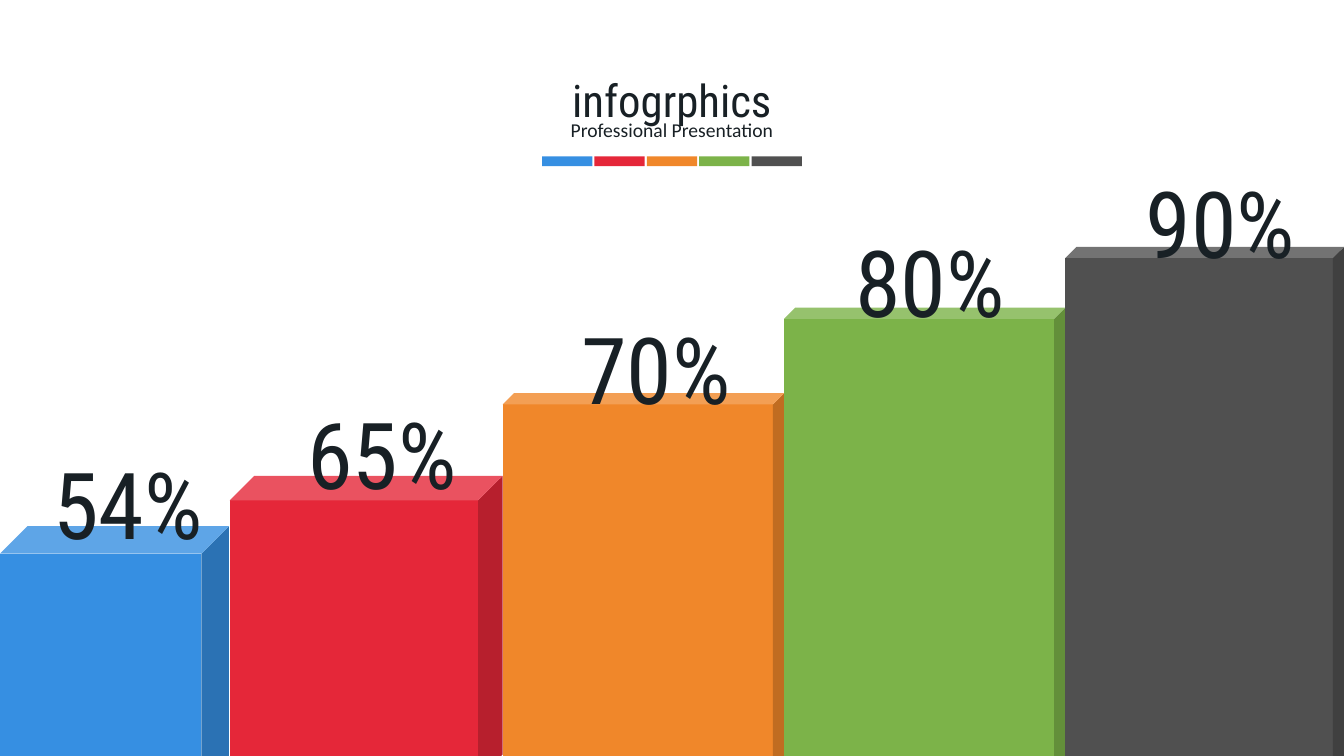
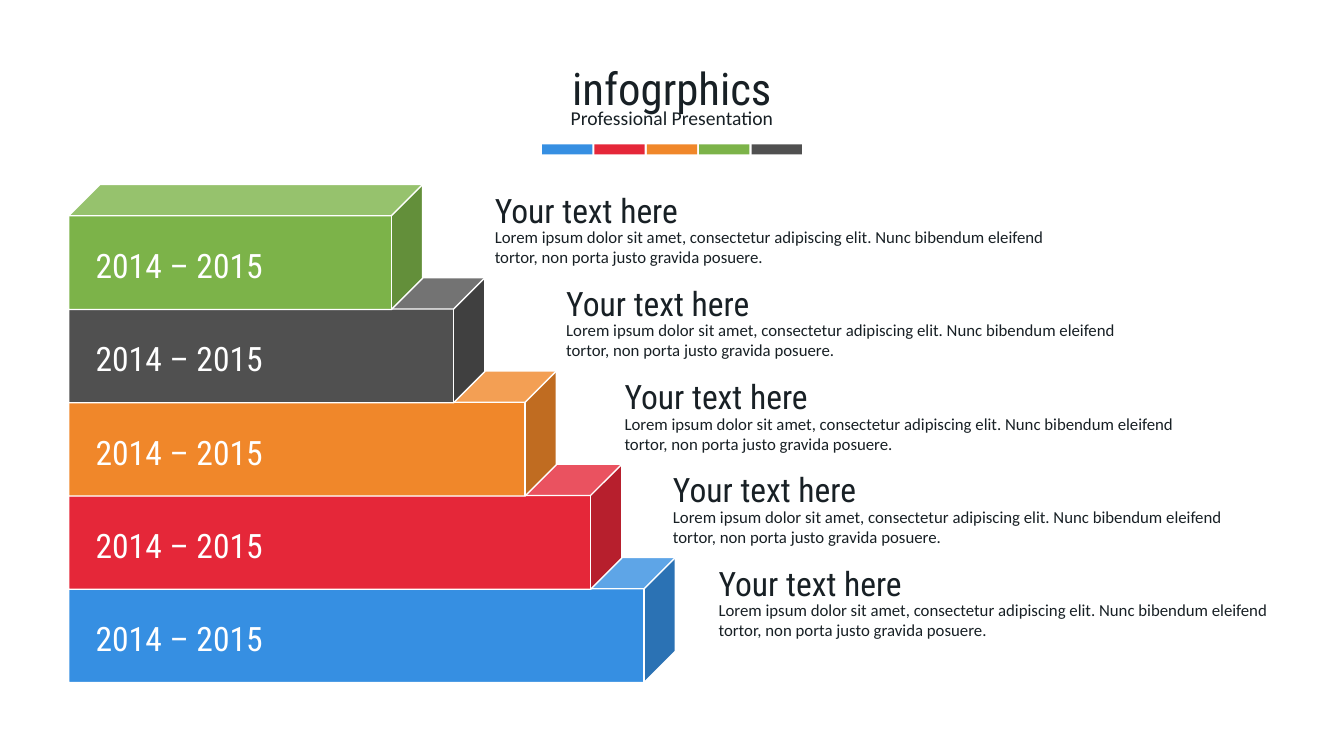
from collections import namedtuple

from pptx import Presentation
from pptx.dml.color import RGBColor
from pptx.enum.shapes import MSO_SHAPE
from pptx.enum.text import MSO_ANCHOR, MSO_AUTO_SIZE, PP_ALIGN
from pptx.util import Cm, Pt

RECTANGLE = MSO_SHAPE.RECTANGLE
CUBE = MSO_SHAPE.CUBE
TOP = MSO_ANCHOR.TOP
NO_AUTOFIT = MSO_AUTO_SIZE.NONE
LEFT = PP_ALIGN.LEFT
CENTER = PP_ALIGN.CENTER

BLUE = RGBColor(0x36, 0x8F, 0xE2)
RED = RGBColor(0xE5, 0x27, 0x39)
ORANGE = RGBColor(0xF0, 0x87, 0x2A)
GREEN = RGBColor(0x7C, 0xB3, 0x49)
GRAY = RGBColor(0x50, 0x50, 0x50)
INK = RGBColor(0x18, 0x20, 0x25)
WHITE = RGBColor(0xFF, 0xFF, 0xFF)
PALETTE = (BLUE, RED, ORANGE, GREEN, GRAY)

DISPLAY_FONT = "Roboto Condensed"
BODY_FONT = "Calibri"

SLIDE_WIDTH = 33.87
SLIDE_HEIGHT = 19.05
TITLE_ONLY_LAYOUT = 5

STRIPE_WIDTH = 1.27
STRIPE_PITCH = 1.32

STEP_LEFT = 1.73
STEP_TOP = 4.65
STEP_PITCH = 2.35
STEP_HEIGHT = 3.15

HEADING = "Your text here"
YEARS = "2014 – 2015"
DESCRIPTION = (
    "Lorem ipsum dolor sit amet, consectetur adipiscing elit. "
    "Nunc bibendum eleifend tortor, non porta justo gravida posuere."
)

Column = namedtuple(
    "Column", "label color left top width bottom depth label_left label_top"
)
Step = namedtuple("Step", "color width text_left")

COLUMNS = (
    Column("54%", BLUE, 0, 13.26, 5.77, 19.91, 0.12, 0.1, 11.13),
    Column("65%", RED, 5.79, 11.99, 6.88, 19.63, 0.09, 6.5, 9.88),
    Column("70%", ORANGE, 12.67, 9.91, 7.09, 19.63, 0.04, 13.41, 7.75),
    Column("80%", GREEN, 19.76, 7.75, 7.09, 19.63, 0.04, 20.32, 5.56),
    Column("90%", GRAY, 26.85, 6.22, 7.02, 19.66, 0.04, 27.64, 4.06),
)

STEPS = (
    Step(GREEN, 8.92, 12.22),
    Step(GRAY, 10.49, 14.02),
    Step(ORANGE, 12.29, 15.49),
    Step(RED, 13.94, 16.71),
    Step(BLUE, 15.29, 17.86),
)


def place(shape, left, top, width, height):
    shape.left, shape.top = Cm(left), Cm(top)
    shape.width, shape.height = Cm(width), Cm(height)


def write(shape, text, size, font=DISPLAY_FONT, color=INK, align=LEFT):
    frame = shape.text_frame
    frame.text = text
    frame.word_wrap = True
    frame.auto_size = NO_AUTOFIT
    frame.vertical_anchor = TOP
    paragraph = frame.paragraphs[0]
    paragraph.alignment = align
    run_font = paragraph.runs[0].font
    run_font.name = font
    run_font.size = Pt(size)
    run_font.color.rgb = color


def add_text(slide, text, left, top, width, height, size, **style):
    box = slide.shapes.add_textbox(Cm(left), Cm(top), Cm(width), Cm(height))
    write(box, text, size, **style)


def add_block(slide, kind, color, left, top, width, height):
    shape = slide.shapes.add_shape(
        kind, Cm(left), Cm(top), Cm(width), Cm(height)
    )
    shape.shadow.inherit = False
    shape.fill.solid()
    shape.fill.fore_color.rgb = color
    shape.line.fill.background()
    return shape


def add_headed_slide(presentation, top):
    slide = presentation.slides.add_slide(
        presentation.slide_layouts[TITLE_ONLY_LAYOUT]
    )
    title = slide.shapes.title
    place(title, 0, top, SLIDE_WIDTH, 1.63)
    write(title, "infogrphics", 32, align=CENTER)
    add_text(slide, "Professional Presentation", STEP_LEFT, top + 1.14,
             SLIDE_WIDTH - 2 * STEP_LEFT, 0.86, 14,
             font=BODY_FONT, align=CENTER)
    band_width = (len(PALETTE) - 1) * STRIPE_PITCH + STRIPE_WIDTH
    band_left = (SLIDE_WIDTH - band_width) / 2
    for index, color in enumerate(PALETTE):
        add_block(slide, RECTANGLE, color, band_left + index * STRIPE_PITCH,
                  top + 2.24, STRIPE_WIDTH, 0.25)
    return slide


def build_columns(presentation):
    slide = add_headed_slide(presentation, 1.7)
    for column in COLUMNS:
        cube = add_block(slide, CUBE, column.color, column.left, column.top,
                         column.width, column.bottom - column.top)
        cube.adjustments[0] = column.depth
    for column in COLUMNS:
        add_text(slide, column.label, column.label_left, column.label_top,
                 6.25, 3.07, 66, align=CENTER)


def build_steps(presentation):
    slide = add_headed_slide(presentation, 1.4)
    rows = [(STEP_TOP + index * STEP_PITCH, step)
            for index, step in enumerate(STEPS)]
    for top, step in reversed(rows):
        cube = add_block(slide, CUBE, step.color, STEP_LEFT, top,
                         step.width, STEP_HEIGHT)
        cube.line.color.rgb = WHITE
        cube.line.width = Pt(1)
    for top, step in rows:
        add_text(slide, YEARS, 2.16, top + 1.4, 8.05, 1.27, 24, color=WHITE)
        add_text(slide, HEADING, step.text_left, top, 8.05, 1.27, 24)
        add_text(slide, DESCRIPTION, step.text_left, top + 0.94,
                 14.63, 1.27, 12, font=BODY_FONT)


def main():
    presentation = Presentation()
    presentation.slide_width = Cm(SLIDE_WIDTH)
    presentation.slide_height = Cm(SLIDE_HEIGHT)
    build_columns(presentation)
    build_steps(presentation)
    presentation.save("out.pptx")


if __name__ == "__main__":
    main()
